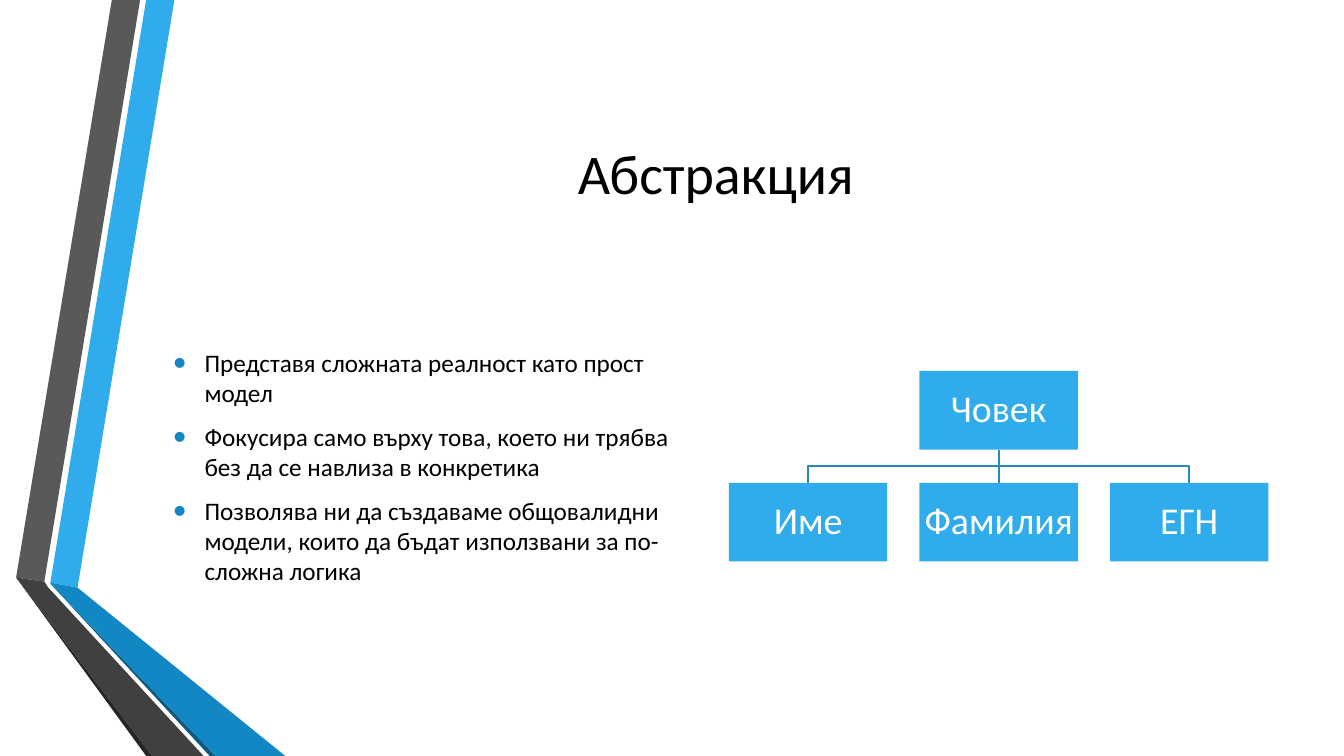
"""Build a slide on abstraction with a bullet list and a small hierarchy."""
from lxml import etree
from pptx import Presentation
from pptx.dml.color import RGBColor
from pptx.enum.shapes import MSO_CONNECTOR, MSO_SHAPE
from pptx.enum.text import MSO_ANCHOR, PP_ALIGN
from pptx.oxml.ns import qn
from pptx.util import Inches, Pt

CENTER = PP_ALIGN.CENTER
MIDDLE = MSO_ANCHOR.MIDDLE
RECTANGLE = MSO_SHAPE.RECTANGLE
STRAIGHT = MSO_CONNECTOR.STRAIGHT

RIBBONS = [
    ("30ACEC", [(0.5, 5.78), (0.77, 5.83), (1.73, 0), (1.45, 0)]),
    ("595959", [(1.39, 0), (1.11, 0), (0.16, 5.73), (0.44, 5.77)]),
    ("262626", [(0.16, 5.73), (1.45, 7.5), (1.51, 7.5)]),
    ("0C5A82", [(0.5, 5.79), (2.08, 7.5), (2.14, 7.5)]),
    ("1287C3", [(0.5, 5.79), (2.14, 7.5), (2.83, 7.5), (0.77, 5.83), (0.5, 5.78)]),
    ("404040", [(2.02, 7.5), (0.48, 5.83), (0.44, 5.77), (0.16, 5.73), (1.51, 7.5)]),
]
POINTS = [
    "Представя сложната реалност като прост модел",
    "Фокусира само върху това, което ни трябва без да се навлиза в конкретика",
    "Позволява ни да създаваме общовалидни модели, които да бъдат използвани за по-сложна логика",
]
PARENT = "Човек"
CHILDREN = ["Име", "Фамилия", "ЕГН"]
BOX_WIDTH, BOX_HEIGHT = 1.57, 0.78
CHILD_LEFT, CHILD_STEP = 7.23, 1.89
PARENT_TOP, CHILD_TOP = 3.68, 4.79


def color(value):
    return RGBColor.from_string(value)


class SlideBuilder:
    """Hold the style and the current slide, and draw its elements."""

    font = "Calibri"
    text_color = "000000"
    box_color = "30ACEC"
    box_text_color = "FFFFFF"
    line_color = "268ABD"
    bullet_color = "1287C3"

    def __init__(self, slide):
        self.slide = slide

    def style(self, paragraph, size, font_color):
        paragraph.font.name = self.font
        paragraph.font.size = Pt(size)
        paragraph.font.color.rgb = color(font_color)

    def outline(self, points, close):
        start, *rest = [(Inches(x), Inches(y)) for x, y in points]
        builder = self.slide.shapes.build_freeform(*start)
        builder.add_line_segments(rest, close=close)
        shape = builder.convert_to_shape()
        shape.shadow.inherit = False
        return shape

    def ribbon(self, fill, points):
        shape = self.outline(points, close=True)
        shape.fill.solid()
        shape.fill.fore_color.rgb = color(fill)
        shape.line.fill.background()

    def line_style(self, line):
        line.color.rgb = color(self.line_color)
        line.width = Pt(1.25)

    def branch(self, start_x, start_y, end_x, end_y):
        if start_x == end_x:
            link = self.slide.shapes.add_connector(
                STRAIGHT, *map(Inches, (start_x, start_y, end_x, end_y)))
            etree.SubElement(link._element.spPr, qn("a:effectLst"))
        else:
            middle = (start_y + end_y) / 2
            link = self.outline([(start_x, start_y), (start_x, middle),
                                 (end_x, middle), (end_x, end_y)], close=False)
            link.fill.background()
        self.line_style(link.line)

    def text_frame(self, left, top, width, height):
        shape = self.slide.shapes.add_textbox(*map(Inches, (left, top, width, height)))
        frame = shape.text_frame
        frame.word_wrap = True
        frame.vertical_anchor = MIDDLE
        return frame

    def title(self, text, *position):
        paragraph = self.text_frame(*position).paragraphs[0]
        paragraph.text = text
        paragraph.alignment = CENTER
        self.style(paragraph, 40, self.text_color)

    def bullets(self, items, *position):
        frame = self.text_frame(*position)
        frame.text = "\n".join(items)
        for paragraph in frame.paragraphs:
            self.style(paragraph, 18, self.text_color)
            paragraph.space_before = Pt(3.6)
            paragraph.space_after = Pt(6)
            self.bullet(paragraph)

    def bullet(self, paragraph):
        properties = paragraph._p.get_or_add_pPr()
        properties.set("marL", str(Inches(0.31)))
        properties.set("indent", str(Inches(-0.31)))
        marks = [
            etree.Element(qn("a:buClr")),
            etree.Element(qn("a:buSzPct"), val="145000"),
            etree.Element(qn("a:buFont"), typeface="Arial"),
            etree.Element(qn("a:buChar"), char="•"),
        ]
        etree.SubElement(marks[0], qn("a:srgbClr"), val=self.bullet_color)
        default_run = properties.find(qn("a:defRPr"))
        for mark in marks:
            default_run.addprevious(mark)

    def box(self, text, left, top):
        shape = self.slide.shapes.add_shape(
            RECTANGLE, *map(Inches, (left, top, BOX_WIDTH, BOX_HEIGHT)))
        shape.shadow.inherit = False
        shape.fill.solid()
        shape.fill.fore_color.rgb = color(self.box_color)
        shape.line.fill.background()
        frame = shape.text_frame
        frame.word_wrap = True
        frame.vertical_anchor = MIDDLE
        frame.margin_left = frame.margin_right = Inches(0.02)
        frame.margin_top = frame.margin_bottom = Inches(0.02)
        paragraph = frame.paragraphs[0]
        paragraph.text = text
        paragraph.alignment = CENTER
        paragraph.line_spacing = 0.9
        self.style(paragraph, 27, self.box_text_color)

    def hierarchy(self, parent, children):
        lefts = [CHILD_LEFT + CHILD_STEP * index for index in range(len(children))]
        parent_left = lefts[len(lefts) // 2]
        half = BOX_WIDTH / 2
        for left in lefts:
            self.branch(parent_left + half, PARENT_TOP + BOX_HEIGHT, left + half, CHILD_TOP)
        self.box(parent, parent_left, PARENT_TOP)
        for child, left in zip(children, lefts):
            self.box(child, left, CHILD_TOP)


def main():
    presentation = Presentation()
    presentation.slide_width = Inches(13.33)
    presentation.slide_height = Inches(7.5)
    slide = presentation.slides.add_slide(presentation.slide_layouts[6])
    builder = SlideBuilder(slide)
    for fill, points in RIBBONS:
        builder.ribbon(fill, points)
    builder.title("Абстракция", 1.62, 0.75, 10.96, 1.92)
    builder.bullets(POINTS, 1.62, 2.92, 5.35, 3.42)
    builder.hierarchy(PARENT, CHILDREN)
    presentation.save("out.pptx")


if __name__ == "__main__":
    main()
